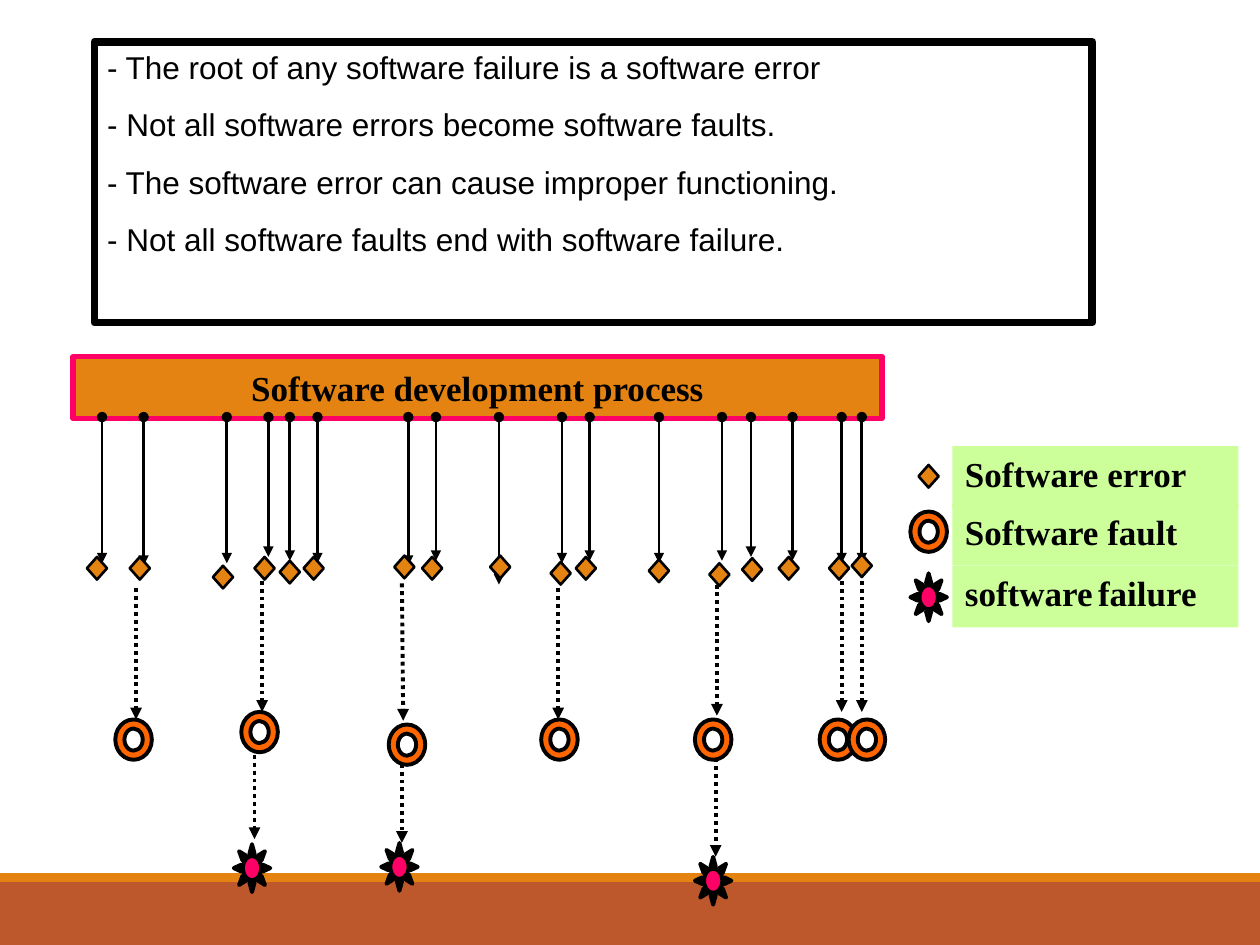
from lxml import etree
from pptx import Presentation
from pptx import util as u
from pptx.dml.color import RGBColor
from pptx.enum import dml, shapes, text
from pptx.oxml.ns import qn

WIDTH, HEIGHT = 10, 7.5
ORANGE, PINK, BLACK = "E48312", "FF0066", "000000"
KIND = shapes.MSO_SHAPE

STATEMENTS = [
    "- The root of any software failure is a software error",
    "- Not all software errors become software faults.",
    "- The software error can cause improper functioning.",
    "- Not all software faults end with software failure.",
]
PROCESS = "Software development process"
PROCESS_EXIT = 3.31  # where the error arrows leave the process bar

# arrow x, arrow end, centre x and top of the error mark
ERRORS = [
    (0.81, 4.47, 0.77, 4.42), (1.14, 4.49, 1.11, 4.42),
    (1.80, 4.47, 1.77, 4.49), (2.13, 4.42, 2.10, 4.42),
    (2.30, 4.45, 2.30, 4.45), (2.52, 4.47, 2.49, 4.42),
    (3.24, 4.49, 3.21, 4.41), (3.46, 4.45, 3.43, 4.42),
    (3.96, 4.64, 3.97, 4.41), (4.46, 4.47, 4.45, 4.46),
    (4.68, 4.45, 4.65, 4.42), (5.23, 4.47, 5.23, 4.44),
    (5.73, 4.45, 5.71, 4.47), (5.96, 4.42, 5.97, 4.43),
    (6.29, 4.45, 6.26, 4.42), (6.68, 4.47, 6.66, 4.42),
    (6.84, 4.47, 6.84, 4.40),
]
# arrow start x, start y, end x, end y, centre x and top of the mark it leads to
FAULTS = [
    (1.08, 4.67, 1.08, 5.71, 1.06, 5.71), (2.08, 4.61, 2.08, 5.65, 2.06, 5.65),
    (3.19, 4.63, 3.20, 5.72, 3.23, 5.75), (4.43, 4.67, 4.43, 5.71, 4.44, 5.71),
    (5.69, 4.64, 5.69, 5.68, 5.66, 5.71), (6.68, 4.61, 6.68, 5.65, 6.65, 5.71),
    (6.84, 4.61, 6.84, 5.65, 6.88, 5.71),
]
FAILURES = [
    (2.02, 5.93, 2.02, 6.66, 2.00, 6.70), (3.19, 6.00, 3.19, 6.69, 3.17, 6.69),
    (5.68, 6.02, 5.68, 6.80, 5.66, 6.80),
]
# shape, width, height, fill, outline width
MARKS = {
    "error": (KIND.HEXAGON, 0.16, 0.18, ORANGE, 1.5),
    "fault": (KIND.DONUT, 0.29, 0.32, "FF6600", 2.25),
    "failure": (KIND.SUN, 0.29, 0.38, PINK, 2.25),
}
# mark, top of the mark, top of the label, label as (words, size, bold)
LEGEND = [
    ("fault", 4.06, 4.00, [("Software fault", 20, True)]),
    ("failure", 4.55, 4.49, [("software", 20, True), (" ", 12, False), ("failure", 20, True)]),
    ("error", 3.69, 3.54, [("Software error", 20, True)]),
]
LEGEND_X, LABEL_LEFT, LABEL_WIDTH, LABEL_HEIGHT = 7.37, 7.56, 2.27, 0.49


def color(value):
    return RGBColor.from_string(value)


def place(shape, left, top, width, height):
    shape.left, shape.top = u.Inches(left), u.Inches(top)
    shape.width, shape.height = u.Inches(width), u.Inches(height)


def outline(shape, value, width):
    shape.line.color.rgb = color(value)
    shape.line.width = u.Pt(width)


def add_box(slide, kind, left, top, width, height, fill):
    box = slide.shapes.add_shape(kind, *map(u.Inches, (left, top, width, height)))
    box.shadow.inherit = False
    box.fill.solid()
    box.fill.fore_color.rgb = color(fill)
    box.line.fill.background()
    return box


def add_mark(slide, name, center, top):
    kind, width, height, fill, line_width = MARKS[name]
    mark = add_box(slide, kind, center - width / 2, top, width, height, fill)
    outline(mark, BLACK, line_width)
    mark.adjustments[0] = 0.5 if name == "error" else 0.25


def add_arrow(slide, x1, y1, x2, y2, width, dotted=False):
    """Arrow with a round tail when solid, a bare one when dotted."""
    arrow = slide.shapes.add_connector(
        shapes.MSO_CONNECTOR.STRAIGHT, *map(u.Inches, (x1, y1, x2, y2)))
    outline(arrow, BLACK, width)
    line = arrow.line._get_or_add_ln()
    if dotted:
        arrow.line.dash_style = dml.MSO_LINE.ROUND_DOT
    else:
        etree.SubElement(line, qn("a:headEnd"), type="oval")
    etree.SubElement(line, qn("a:tailEnd"), type="triangle")
    etree.SubElement(line.getparent(), qn("a:effectLst"))


def style(font, name, size, bold=False):
    font.name, font.size, font.bold = name, u.Pt(size), bold
    font.color.rgb = color(BLACK)


def set_frame(frame, anchor):
    frame.word_wrap = True
    frame.auto_size = text.MSO_AUTO_SIZE.NONE
    frame.vertical_anchor = anchor


def add_statements(body):
    place(body, 0.75, 0.33, 7.92, 2.23)
    outline(body, BLACK, 4.5)
    frame = body.text_frame
    set_frame(frame, text.MSO_ANCHOR.TOP)
    frame.text = "\n".join(STATEMENTS)
    for index, paragraph in enumerate(frame.paragraphs):
        properties = paragraph._p.get_or_add_pPr()
        properties.set("marL", "0")
        properties.set("indent", "0")
        etree.SubElement(properties, qn("a:buNone"))
        paragraph.space_before = u.Pt(11.2 if index else 0)
        for run in paragraph.runs:
            style(run.font, "Arial", 18)


def add_process(title):
    place(title, 0.58, 2.83, 6.42, 0.49)
    title.fill.solid()
    title.fill.fore_color.rgb = color(ORANGE)
    outline(title, PINK, 3)
    set_frame(title.text_frame, text.MSO_ANCHOR.MIDDLE)
    title.text_frame.text = PROCESS
    paragraph = title.text_frame.paragraphs[0]
    paragraph.alignment = text.PP_ALIGN.CENTER
    style(paragraph.runs[0].font, "Times New Roman", 20, True)


def add_legend(slide):
    for name, mark_top, label_top, words in LEGEND:
        add_mark(slide, name, LEGEND_X, mark_top)
        label = add_box(slide, KIND.RECTANGLE, LABEL_LEFT, label_top,
                        LABEL_WIDTH, LABEL_HEIGHT, "CCFF99")
        set_frame(label.text_frame, text.MSO_ANCHOR.TOP)
        paragraph = label.text_frame.paragraphs[0]
        paragraph.alignment = text.PP_ALIGN.LEFT
        for word, size, bold in words:
            run = paragraph.add_run()
            run.text = word
            style(run.font, "Times New Roman", size, bold)


def main():
    deck = Presentation()
    deck.slide_width, deck.slide_height = u.Inches(WIDTH), u.Inches(HEIGHT)
    slide = deck.slides.add_slide(deck.slide_layouts[1])
    add_box(slide, KIND.RECTANGLE, 0, 7, WIDTH, 0.5, "BD582C")
    add_box(slide, KIND.RECTANGLE, 0, 6.93, WIDTH, 0.07, ORANGE)
    add_statements(slide.placeholders[1])
    add_process(slide.shapes.title)

    for *ends, _, _ in FAILURES:
        add_arrow(slide, *ends, 2.25, dotted=True)
    for x, end, _, _ in ERRORS:
        add_arrow(slide, x, PROCESS_EXIT, x, end, 1.5)
    for _, _, center, top in ERRORS:
        add_mark(slide, "error", center, top)
    for *ends, _, _ in FAULTS:
        add_arrow(slide, *ends, 2.25, dotted=True)
    for name, steps in (("fault", FAULTS), ("failure", FAILURES)):
        for *_, center, top in steps:
            add_mark(slide, name, center, top)
    add_legend(slide)
    deck.save("out.pptx")


if __name__ == "__main__":
    main()
